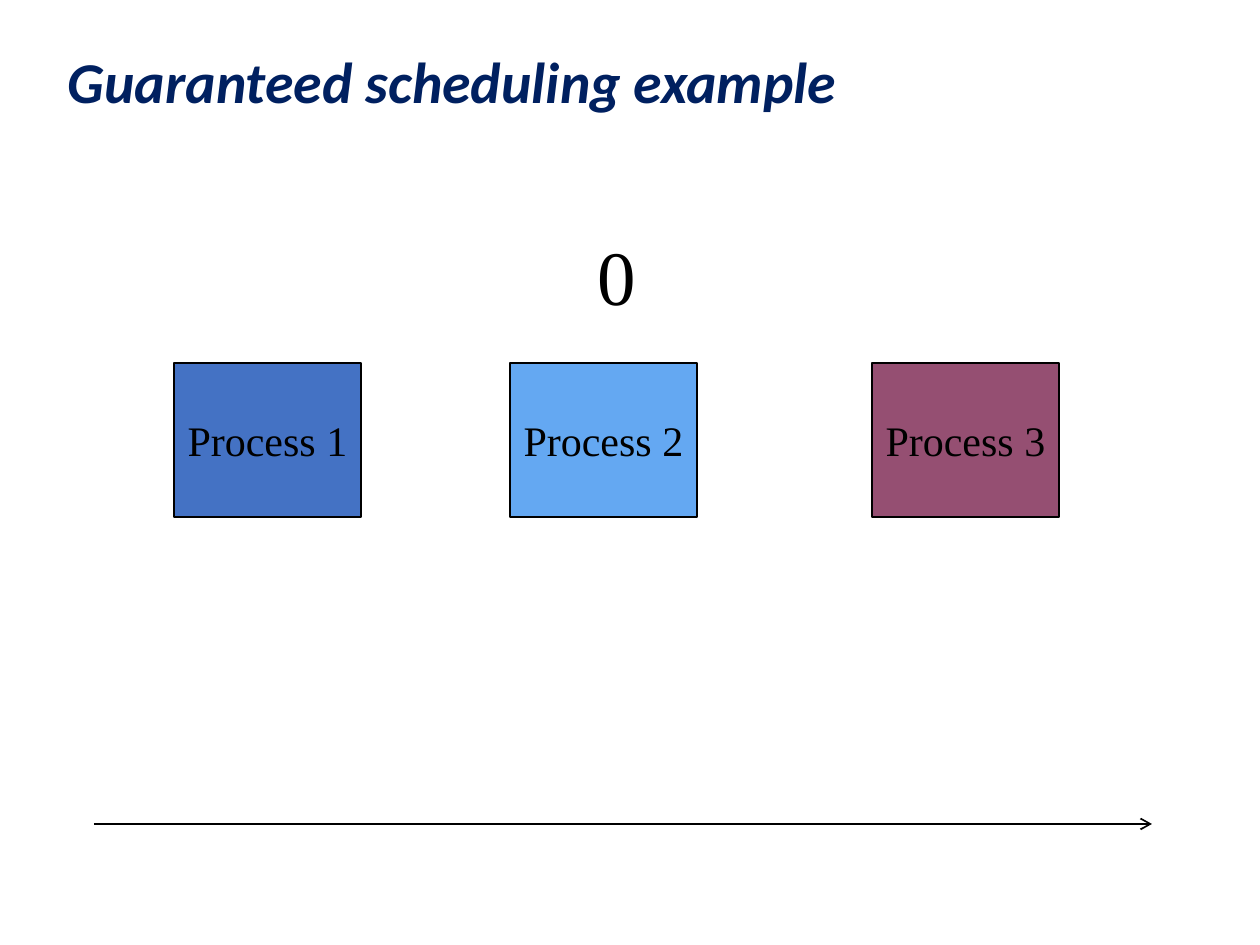
"""Builds the guaranteed scheduling slide: three processes above a time arrow."""
import pptx
import pptx.dml.color
import pptx.enum.shapes
import pptx.enum.text
import pptx.oxml
import pptx.oxml.ns
import pptx.util

THEME = {
    "black": pptx.dml.color.RGBColor.from_string("000000"),
    "navy": pptx.dml.color.RGBColor.from_string("002060"),
    "processes": ["4472C4", "64A8F2", "954F72"],
    "title": pptx.util.Pt(33),
    "label": pptx.util.Pt(24),
    "time": pptx.util.Pt(44),
    "line": pptx.util.Pt(1),
}
ANCHOR = pptx.enum.text.MSO_ANCHOR
ALIGN = pptx.enum.text.PP_ALIGN


def px(*lengths):
    return [pptx.util.Emu(round(length * 914400 / 126)) for length in lengths]


def write(shape, text, frame_format, paragraph_format, font_format, color):
    frame = shape.text_frame
    frame.text = text
    paragraph = frame.paragraphs[0]
    for target, values in (
        (frame, frame_format),
        (paragraph, paragraph_format),
        (paragraph.font, font_format),
    ):
        for name, value in values.items():
            setattr(target, name, value)
    paragraph.font.color.rgb = color


presentation = pptx.Presentation()
presentation.slide_width, presentation.slide_height = px(1260, 945)
slide = presentation.slides.add_slide(presentation.slide_layouts[5])

title = slide.shapes.title
title.left, title.top, title.width, title.height = px(55, 32, 1071, 105)
write(
    title,
    "Guaranteed scheduling example",
    {"vertical_anchor": ANCHOR.MIDDLE, "word_wrap": True},
    {"alignment": ALIGN.LEFT, "line_spacing": 0.9},
    {"name": "Calibri", "size": THEME["title"], "bold": True, "italic": True},
    THEME["navy"],
)

for number, (left, fill) in enumerate(zip((174, 510, 872), THEME["processes"]), 1):
    process = slide.shapes.add_shape(
        pptx.enum.shapes.MSO_SHAPE.RECTANGLE, *px(left, 363, 187, 154)
    )
    process.shadow.inherit = False
    process.fill.solid()
    process.fill.fore_color.rgb = pptx.dml.color.RGBColor.from_string(fill)
    process.line.color.rgb = THEME["black"]
    process.line.width = THEME["line"]
    write(
        process,
        f"Process {number}",
        {"vertical_anchor": ANCHOR.MIDDLE, "word_wrap": False},
        {"alignment": ALIGN.CENTER},
        {"name": "Times New Roman", "size": THEME["label"]},
        THEME["black"],
    )

time_axis = slide.shapes.add_connector(
    pptx.enum.shapes.MSO_CONNECTOR.STRAIGHT, *px(94, 824, 1152, 824)
)
time_axis.line.color.rgb = THEME["black"]
time_axis.line.width = THEME["line"]
arrowhead = pptx.oxml.parse_xml(
    f'<a:tailEnd {pptx.oxml.ns.nsdecls("a")} type="arrow"/>'
)
time_axis.line._get_or_add_ln().append(arrowhead)
time_axis._element.spPr.append(
    pptx.oxml.parse_xml(f'<a:effectLst {pptx.oxml.ns.nsdecls("a")}/>')
)

time = slide.shapes.add_textbox(*px(510, 215, 214, 105))
write(
    time,
    "0",
    {"word_wrap": True, "margin_top": px(14)[0], "margin_bottom": 0},
    {"alignment": ALIGN.CENTER},
    {"name": "Times New Roman", "size": THEME["time"]},
    THEME["black"],
)

presentation.save("out.pptx")
